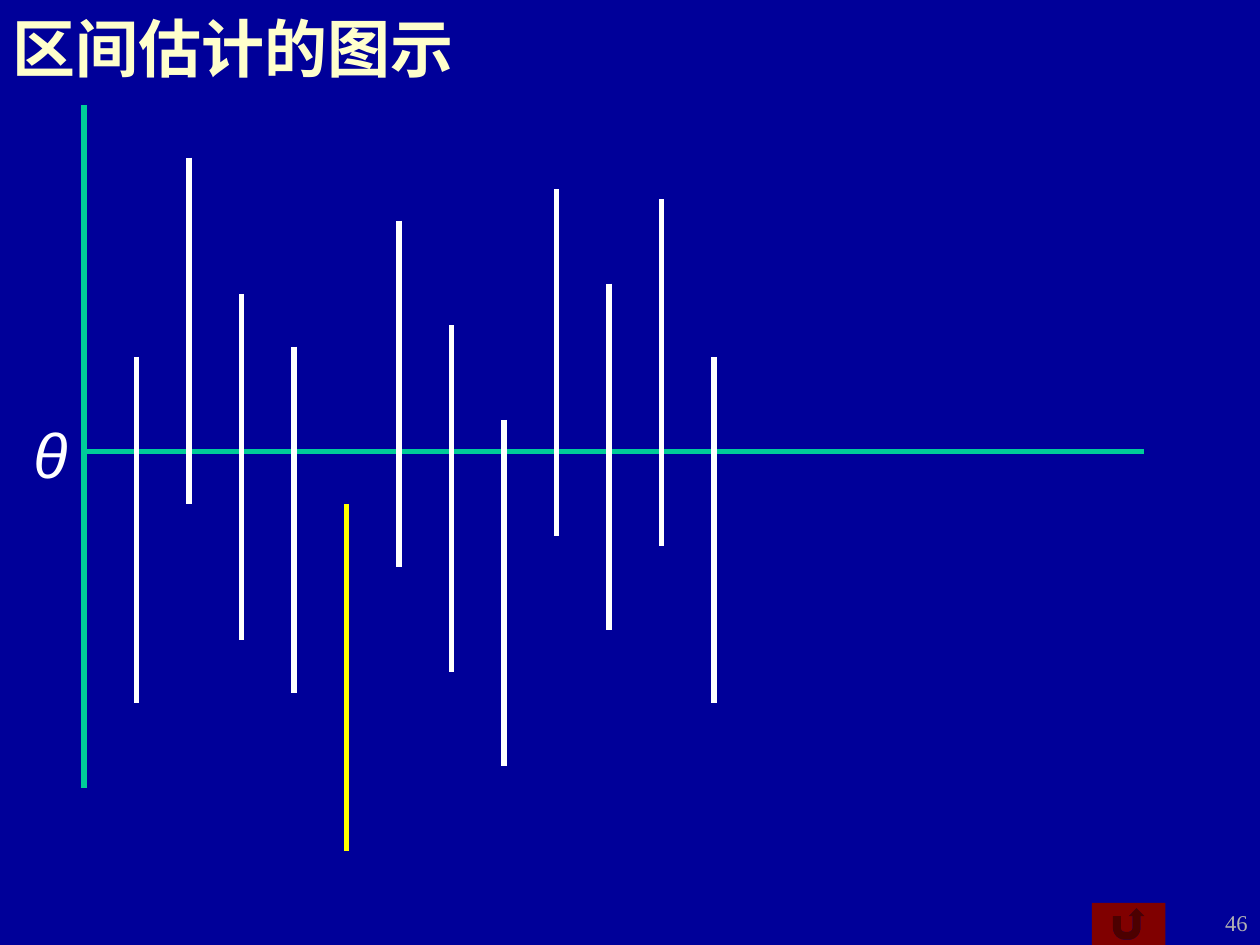
from lxml.etree import SubElement
from pptx import Presentation
from pptx.dml.color import RGBColor
from pptx.enum.shapes import MSO_CONNECTOR, MSO_SHAPE
from pptx.enum.text import MSO_ANCHOR, MSO_AUTO_SIZE, PP_ALIGN
from pptx.oxml.ns import qn
from pptx.util import Cm, Pt

NAVY = RGBColor(0x00, 0x00, 0x99)
CREAM = RGBColor(0xFF, 0xFF, 0xCC)
GREEN = RGBColor(0x00, 0xCC, 0x99)
WHITE = RGBColor(0xFF, 0xFF, 0xFF)
YELLOW = RGBColor(0xFF, 0xFF, 0x00)
MAROON = RGBColor(0x80, 0x00, 0x00)
GREY = RGBColor(0xB2, 0xB2, 0xB2)

# The slide is laid out on a grid of 120 by 90 units
UNIT = 2.54 / 12
AXIS_X, THETA_Y = 8, 43
INTERVAL_STEP, INTERVAL_LENGTH = 5, 33
INTERVAL_TOPS = [34, 15, 28, 33, 48, 21, 31, 40, 18, 27, 19, 34]


def grid(*values):
    return [Cm(v * UNIT) for v in values]


class SlideBuilder:
    def __init__(self, prs):
        self.s = prs.slides.add_slide(prs.slide_layouts[5])
        fill = self.s.background.fill
        fill.solid()
        fill.fore_color.rgb = NAVY

    def style(self, tf, text, size, color, font, align, bold=False, italic=False):
        tf.text = text
        p = tf.paragraphs[0]
        p.alignment = align
        f = p.runs[0].font
        f.name, f.size, f.color.rgb = font, Pt(size), color
        f.bold, f.italic = bold, italic

    def title(self, text, box):
        sp = self.s.shapes.title
        sp.left, sp.top, sp.width, sp.height = grid(*box)
        tf = sp.text_frame
        tf.auto_size = MSO_AUTO_SIZE.NONE
        tf.vertical_anchor = MSO_ANCHOR.MIDDLE
        self.style(tf, text, 36, CREAM, "Times New Roman", PP_ALIGN.LEFT, bold=True)

    def text(self, text, box, size, color, font, align, wrap=True, italic=False):
        tf = self.s.shapes.add_textbox(*grid(*box)).text_frame
        tf.word_wrap = wrap
        self.style(tf, text, size, color, font, align, italic=italic)

    def line(self, x1, y1, x2, y2, color):
        c = self.s.shapes.add_connector(MSO_CONNECTOR.STRAIGHT, *grid(x1, y1, x2, y2))
        c.line.color.rgb = color
        c.line.width = Pt(3)
        SubElement(c._element.spPr, qn("a:effectLst"))

    def return_button(self, box):
        sp = self.s.shapes.add_shape(MSO_SHAPE.ACTION_BUTTON_RETURN, *grid(*box))
        sp.shadow.inherit = False
        sp.fill.solid()
        sp.fill.fore_color.rgb = MAROON
        sp.line.fill.background()


def main():
    prs = Presentation()
    prs.slide_width, prs.slide_height = grid(120, 90)
    slide = SlideBuilder(prs)

    # Title, return button and page number
    slide.return_button((104, 86, 7, 4))
    slide.text("46", (112, 86, 8, 4), 12.9, GREY, "Times New Roman", PP_ALIGN.RIGHT)
    slide.title("区间估计的图示", (0, 0, 120, 9))

    # Axes and the true parameter
    slide.line(AXIS_X, THETA_Y, 109, THETA_Y, GREEN)
    slide.line(AXIS_X, 75, AXIS_X, 10, GREEN)
    slide.text("θ", (2, 39, 5.5, 8.4), 36, WHITE, "Arial", PP_ALIGN.CENTER,
               wrap=False, italic=True)

    # Interval estimates; one that misses the parameter is yellow
    for i, top in enumerate(INTERVAL_TOPS, start=1):
        x, bottom = AXIS_X + i * INTERVAL_STEP, top + INTERVAL_LENGTH
        color = WHITE if top <= THETA_Y <= bottom else YELLOW
        slide.line(x, top, x, bottom, color)

    prs.save("out.pptx")


if __name__ == "__main__":
    main()
